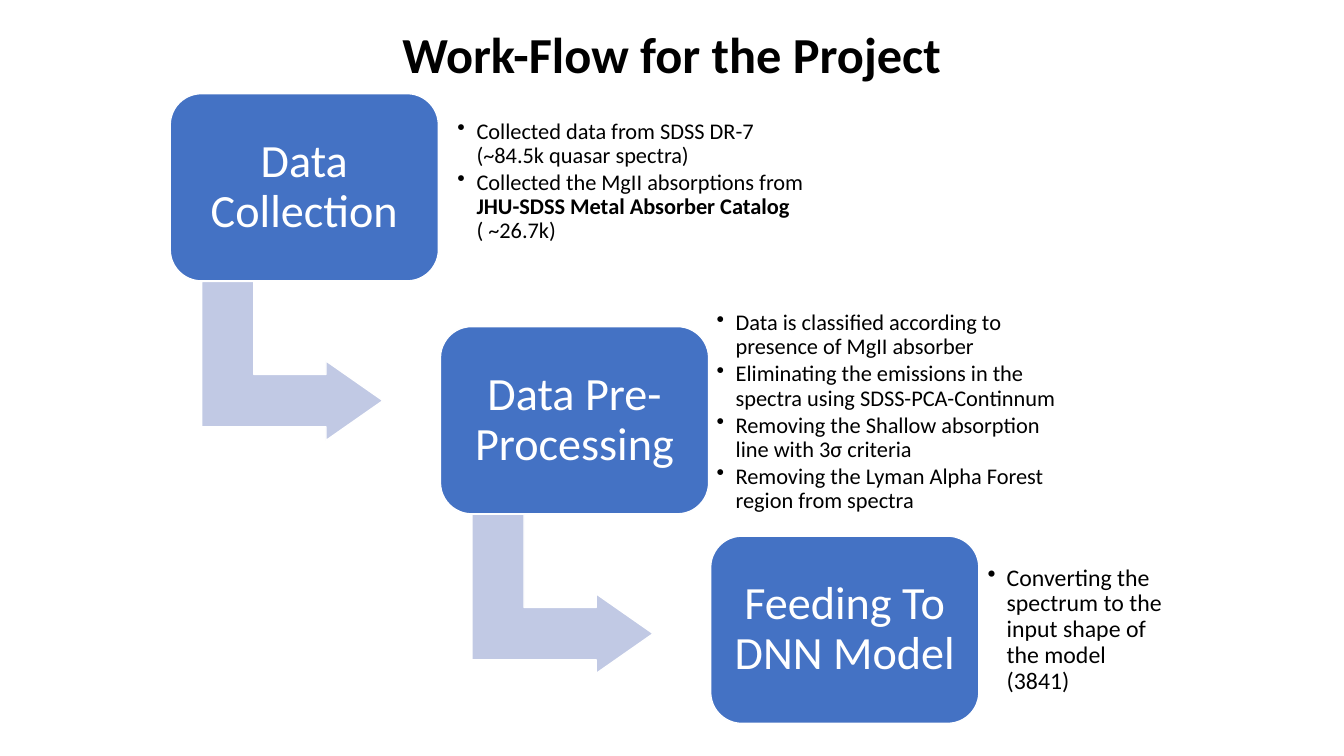
"""Build the project work-flow slide: three descending steps with their details."""
from dataclasses import dataclass

from lxml import etree
from pptx import Presentation
from pptx.dml.color import RGBColor
from pptx.enum.shapes import MSO_SHAPE
from pptx.enum.text import MSO_ANCHOR, PP_ALIGN
from pptx.oxml.ns import qn
from pptx.util import Cm, Pt

ROUNDED = MSO_SHAPE.ROUNDED_RECTANGLE
BENT_ARROW = MSO_SHAPE.BENT_UP_ARROW
MIDDLE = MSO_ANCHOR.MIDDLE
CENTER = PP_ALIGN.CENTER

FONT = "Calibri"
BLACK, WHITE, BLUE, PALE_BLUE = "000000", "FFFFFF", "4472C4", "C1C9E4"
FIRST_LEFT, STEP_SHIFT = 4.29, 6.81
STEP_WIDTH, STEP_HEIGHT = 6.76, 4.72
ARROW_WIDTH, ARROW_HEIGHT = 4.01, 4.57
ARROW_SHIFT, ARROW_DROP = 1.07, 4.45
BULLET_INDENT = 0.48


@dataclass(frozen=True)
class Span:
    text: str
    bold: bool = False
    break_before: bool = False


@dataclass(frozen=True)
class Box:
    left: float
    top: float
    width: float
    height: float

    def lengths(self) -> tuple:
        return Cm(self.left), Cm(self.top), Cm(self.width), Cm(self.height)


@dataclass(frozen=True)
class Step:
    label: str
    top: float
    details_box: Box
    details_size: int
    details: tuple[tuple[Span, ...], ...]


STEPS = (
    Step("Data Collection", 2.36, Box(11.3, 2.67, 9.93, 3.81), 16, (
        (Span("Collected data from SDSS DR-7"),
         Span("(~84.5k quasar spectra)", break_before=True)),
        (Span("Collected the MgII absorptions from "),
         Span("JHU-SDSS Metal Absorber Catalog ", bold=True),
         Span("( ~26.7k)")),
    )),
    Step("Data Pre-Processing", 8.23, Box(17.83, 7.52, 9.19, 5.74), 16, (
        (Span("Data is classified according to presence of MgII absorber"),),
        (Span("Eliminating the emissions in the spectra using SDSS-PCA-Continnum"),),
        (Span("Removing the Shallow absorption line with 3σ criteria"),),
        (Span("Removing the Lyman Alpha Forest region from spectra"),),
    )),
    Step("Feeding To DNN Model", 13.51, Box(24.66, 13.97, 4.9, 3.81), 17, (
        (Span("Converting the spectrum to the input shape of the model (3841)"),),
    )),
)


def color(hex_value: str) -> RGBColor:
    return RGBColor.from_string(hex_value)


def add_span(paragraph, span: Span, size: int, hex_value: str) -> None:
    if span.break_before:
        paragraph.add_line_break()
    run = paragraph.add_run()
    run.text = span.text
    run.font.name = FONT
    run.font.size = Pt(size)
    run.font.bold = span.bold
    run.font.color.rgb = color(hex_value)


def set_frame(frame, inset: float) -> None:
    frame.word_wrap = True
    frame.vertical_anchor = MIDDLE
    frame.margin_left = frame.margin_right = Cm(inset)
    frame.margin_top = frame.margin_bottom = Cm(inset)


def add_block(slide, preset, box: Box, fill: str, adjustments: tuple[float, ...]):
    block = slide.shapes.add_shape(preset, *box.lengths())
    block.shadow.inherit = False
    block.fill.solid()
    block.fill.fore_color.rgb = color(fill)
    block.line.color.rgb = color(WHITE)
    block.line.width = Pt(1)
    for index, value in enumerate(adjustments):
        block.adjustments[index] = value
    return block


def add_bullet(paragraph) -> None:
    properties = paragraph._p.get_or_add_pPr()
    properties.set("marL", str(Cm(BULLET_INDENT)))
    properties.set("indent", str(-Cm(BULLET_INDENT)))
    etree.SubElement(properties, qn("a:buChar")).set("char", "•")


def add_details(slide, step: Step) -> None:
    frame = slide.shapes.add_textbox(*step.details_box.lengths()).text_frame
    set_frame(frame, 0.23)
    for index, spans in enumerate(step.details):
        paragraph = frame.add_paragraph() if index else frame.paragraphs[0]
        paragraph.level = 1
        paragraph.line_spacing = 0.9
        paragraph.space_after = Pt(2)
        add_bullet(paragraph)
        for span in spans:
            add_span(paragraph, span, step.details_size, BLACK)


def add_step(slide, step: Step, left: float, has_next: bool) -> None:
    if has_next:
        arrow_box = Box(left + ARROW_SHIFT, step.top + ARROW_DROP,
                        ARROW_WIDTH, ARROW_HEIGHT)
        arrow = add_block(slide, BENT_ARROW, arrow_box, PALE_BLUE, (0.328, 0.25, 0.358))
        arrow.rotation = 90
    step_box = Box(left, step.top, STEP_WIDTH, STEP_HEIGHT)
    frame = add_block(slide, ROUNDED, step_box, BLUE, (0.167,)).text_frame
    set_frame(frame, 0.36)
    label = frame.paragraphs[0]
    label.alignment = CENTER
    label.line_spacing = 0.9
    add_span(label, Span(step.label), 33, WHITE)
    add_details(slide, step)


def add_title(slide, text: str) -> None:
    frame = slide.shapes.add_textbox(*Box(3.2, 0.46, 27.46, 1.8).lengths()).text_frame
    frame.word_wrap = True
    title = frame.paragraphs[0]
    title.alignment = CENTER
    add_span(title, Span(text, bold=True), 36, BLACK)


def main() -> None:
    presentation = Presentation()
    presentation.slide_width, presentation.slide_height = Cm(33.87), Cm(19.05)
    slide = presentation.slides.add_slide(presentation.slide_layouts[6])
    for index, step in enumerate(STEPS):
        left = FIRST_LEFT + index * STEP_SHIFT
        add_step(slide, step, left, has_next=index < len(STEPS) - 1)
    add_title(slide, "Work-Flow for the Project")
    presentation.save("out.pptx")


if __name__ == "__main__":
    main()
